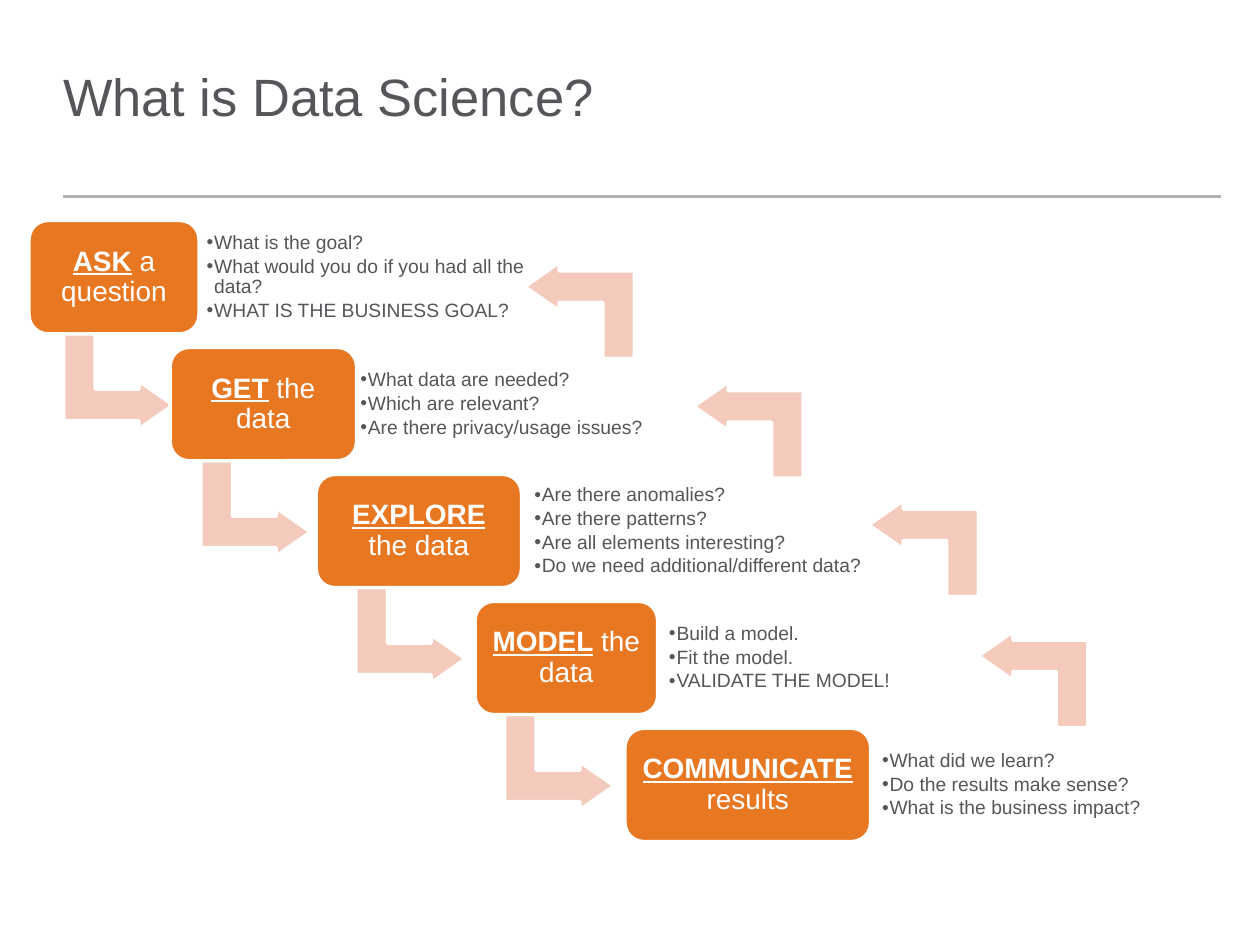
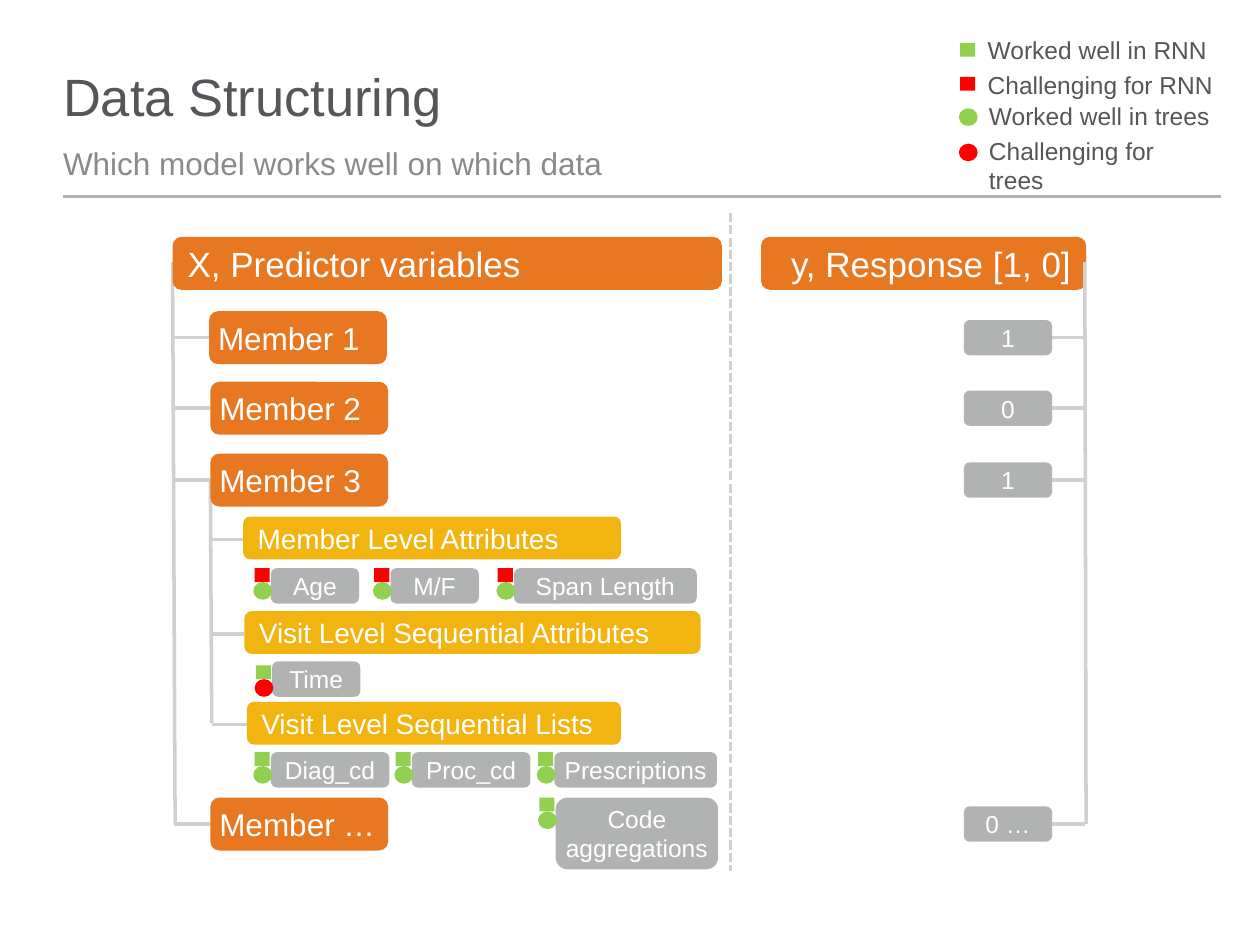
"""Build two slides: the data science process and the data structuring tree."""
from lxml import etree
from pptx import Presentation
from pptx import util as u
from pptx.dml import color as colors
from pptx.enum import dml, shapes, text
from pptx.oxml import ns

FONT = "Arial"
WHITE, DARK, MUTED = "FFFFFF", "55565A", "888B8D"
ORANGE, YELLOW, GRAY, PEACH = "E87722", "F2B411", "B1B3B3", "F4CABD"
BRANCH, GOOD, BAD = "D0D0CE", "92D050", "FF0000"
LEFT, CENTER, RIGHT = text.PP_ALIGN.LEFT, text.PP_ALIGN.CENTER, text.PP_ALIGN.RIGHT
KINDS = shapes.MSO_SHAPE

STEP_TOP, STEP_HEIGHT = 1.75, 0.9
STEP_PITCH = (5.78 - STEP_TOP) / 4
STEPS = [
    ("ASK", " a question", 0.23, 1.35, 1.59, 2.81,
     ["What is the goal?", "What would you do if you had all the data?",
      "WHAT IS THE BUSINESS GOAL?"]),
    ("GET", " the data", 1.35, 1.48, 2.81, 2.41,
     ["What data are needed?", "Which are relevant?",
      "Are there privacy/usage issues?"]),
    ("EXPLORE", " the data", 2.51, 1.63, 4.19, 2.72,
     ["Are there anomalies?", "Are there patterns?",
      "Are all elements interesting?", "Do we need additional/different data?"]),
    ("MODEL", " the data", 3.77, 1.45, 5.26, 2.63,
     ["Build a model.", "Fit the model.", "VALIDATE THE MODEL!"]),
    ("COMMUNICATE", " results", 4.96, 1.95, 6.95, 2.55,
     ["What did we learn?", "Do the results make sense?",
      "What is the business impact?"]),
]
FORWARD_ARROW_LEFTS = [0.56, 1.65, 2.88, 4.06]
BACK_ARROWS = [(4.22, 2.03), (5.56, 2.98), (6.95, 3.92), (7.82, 4.96)]

MEMBERS = [("Member 1", "1", 1.66, 2.68), ("Member 2", "0", 1.67, 3.24),
           ("Member 3", "1", 1.67, 3.81), ("Member …", "0 …", 1.67, 6.54)]
GROUPS = [("Member Level Attributes", 1.93, 4.1, 3),
          ("Visit Level Sequential Attributes", 1.94, 4.85, 3.62),
          ("Visit Level Sequential Lists", 1.96, 5.57, 2.97)]
ATTRIBUTES = [
    ("Age", 2.15, 4.51, 0.7, 0.28, BAD, GOOD, 0),
    ("M/F", 3.1, 4.51, 0.7, 0.28, BAD, GOOD, 0),
    ("Span Length", 4.08, 4.51, 1.45, 0.28, BAD, GOOD, 0),
    ("Time", 2.16, 5.25, 0.7, 0.28, GOOD, BAD, 0.03),
    ("Diag_cd", 2.15, 5.97, 0.94, 0.28, GOOD, GOOD, 0),
    ("Proc_cd", 3.27, 5.97, 0.94, 0.28, GOOD, GOOD, 0),
    ("Prescriptions", 4.4, 5.97, 1.29, 0.28, GOOD, GOOD, 0),
    ("Code aggregations", 4.41, 6.33, 1.29, 0.57, GOOD, GOOD, 0),
]


def rgb(value):
    """Turn a hex string into a colour."""
    return colors.RGBColor.from_string(value)


def inches(*lengths):
    """Convert several numbers to lengths."""
    return [u.Inches(length) for length in lengths]


def set_font(paragraph, size, color, align=LEFT):
    """Style a whole paragraph."""
    paragraph.alignment = align
    paragraph.font.name = FONT
    paragraph.font.size = u.Pt(size)
    paragraph.font.color.rgb = rgb(color)


def set_frame(frame, horizontal, vertical, anchor):
    """Set wrapping, insets and anchor of a text frame."""
    frame.word_wrap = True
    frame.margin_left = frame.margin_right = u.Inches(horizontal)
    frame.margin_top = frame.margin_bottom = u.Inches(vertical)
    frame.vertical_anchor = anchor


def add_text(slide, place, content, size, color=DARK, insets=(0, 0),
             anchor=text.MSO_ANCHOR.BOTTOM):
    """Add a one-paragraph text box."""
    frame = slide.shapes.add_textbox(*inches(*place)).text_frame
    set_frame(frame, *insets, anchor)
    frame.text = content
    set_font(frame.paragraphs[0], size, color)


def add_figure(slide, kind, place, fill, outline=None):
    """Add a flat preset shape with an optional outline."""
    shape = slide.shapes.add_shape(kind, *inches(*place))
    shape.shadow.inherit = False
    shape.fill.solid()
    shape.fill.fore_color.rgb = rgb(fill)
    if outline:
        shape.line.color.rgb = rgb(outline)
        shape.line.width = u.Pt(2)
    else:
        shape.line.fill.background()
    return shape


def add_box(slide, place, content, size, fill, align=LEFT, insets=(0.1, 0.05)):
    """Add a rounded box holding one white line of text."""
    frame = add_figure(slide, KINDS.ROUNDED_RECTANGLE, place, fill).text_frame
    set_frame(frame, *insets, text.MSO_ANCHOR.MIDDLE)
    frame.text = content
    set_font(frame.paragraphs[0], size, WHITE, align)


def add_chip(slide, place, content):
    """Add a gray value box."""
    add_box(slide, place, content, 14, GRAY, CENTER, (0.01, 0.05))


def add_line(slide, start, end, color=BRANCH, width=2, dash=None):
    """Add a straight line without a shadow."""
    line = slide.shapes.add_connector(
        shapes.MSO_CONNECTOR.STRAIGHT, *inches(*start, *end))
    line.line.color.rgb = rgb(color)
    line.line.width = u.Pt(width)
    if dash:
        line.line.dash_style = dash
    etree.SubElement(line._element.spPr, ns.qn("a:effectLst"))


def add_square(slide, left, top, color):
    """Add the square marker used for RNN."""
    add_figure(slide, KINDS.RECTANGLE, (left, top, 0.12, 0.11), color)


def add_circle(slide, left, top, color):
    """Add the round marker used for trees."""
    add_figure(slide, KINDS.FLOWCHART_CONNECTOR, (left, top, 0.15, 0.14), color)


def add_slide(presentation, title, subtitle=None):
    """Add a blank slide with title, optional subtitle and rule."""
    slide = presentation.slides.add_slide(presentation.slide_layouts[6])
    add_line(slide, (0.5, 1.56), (9.69, 1.56), GRAY, 1.25)
    add_text(slide, (0.5, 0.33, 9.18, 0.68), title, 30)
    if subtitle:
        add_text(slide, (0.5, 1, 9.19, 0.44), subtitle, 18, MUTED)
    return slide


def add_bent_arrow(slide, left, top, rotation):
    """Add a turned bent arrow between two steps."""
    arrow = add_figure(slide, KINDS.BENT_UP_ARROW, (left, top, 0.76, 0.87), PEACH, WHITE)
    arrow.rotation = rotation
    for index, value in enumerate((0.33, 0.25, 0.36)):
        arrow.adjustments[index] = value


def add_step(slide, place, verb, rest):
    """Add a step box with its verb emphasised."""
    frame = add_figure(slide, KINDS.ROUNDED_RECTANGLE, place, ORANGE, WHITE).text_frame
    set_frame(frame, 0.07, 0.07, text.MSO_ANCHOR.MIDDLE)
    paragraph = frame.paragraphs[0]
    set_font(paragraph, 16, WHITE, CENTER)
    paragraph.line_spacing = 0.9
    verb_run = paragraph.add_run()
    verb_run.text = verb
    verb_run.font.bold = verb_run.font.underline = True
    paragraph.add_run().text = rest


def add_bullets(slide, place, items):
    """Add a bulleted list whose bullets take the size of the text."""
    frame = slide.shapes.add_textbox(*inches(*place)).text_frame
    set_frame(frame, 0.05, 0.05, text.MSO_ANCHOR.MIDDLE)
    frame.text = "\n".join(items)
    for paragraph in frame.paragraphs:
        set_font(paragraph, 11, DARK)
        paragraph.runs[0].font.size = u.Pt(11)
        paragraph.runs[0].font.name = FONT
        paragraph.line_spacing = 0.9
        paragraph.space_after = u.Pt(1.65)
        properties = paragraph._p.get_or_add_pPr()
        properties.set("marL", str(u.Inches(0.06)))
        properties.set("indent", str(-u.Inches(0.06)))
        defaults = properties.find(ns.qn("a:defRPr"))
        defaults.addprevious(etree.Element(ns.qn("a:buFont"), typeface=FONT))
        defaults.addprevious(etree.Element(ns.qn("a:buChar"), char="•"))


def build_process(presentation):
    """Build the staircase of data science steps."""
    slide = add_slide(presentation, "What is Data Science?")
    for index, left in enumerate(FORWARD_ARROW_LEFTS):
        add_bent_arrow(slide, left, STEP_TOP + 0.84 + index * STEP_PITCH, 90)
    for index, (verb, rest, left, width, list_left, list_width, items) in enumerate(STEPS):
        top = STEP_TOP + index * STEP_PITCH
        add_step(slide, (left, top, width, STEP_HEIGHT), verb, rest)
        add_bullets(slide, (list_left, top + 0.09, list_width, 0.72), items)
    for left, top in BACK_ARROWS:
        add_bent_arrow(slide, left, top, 270)


def add_legend(slide):
    """Add the marker key at the top right."""
    entries = [("Worked well in RNN", 7.74, 0.23, add_square, 7.62, 0.34, GOOD),
               ("Challenging for RNN", 7.74, 0.51, add_square, 7.62, 0.61, BAD),
               ("Worked well in trees", 7.75, 0.75, add_circle, 7.61, 0.86, GOOD),
               ("Challenging for trees", 7.75, 1.03, add_circle, 7.61, 1.14, BAD)]
    for label, left, top, add_marker, marker_left, marker_top, color in entries:
        add_marker(slide, marker_left, marker_top, color)
        add_text(slide, (left, top, 1.99, 0.34), label, 14, insets=(0.1, 0.05),
                 anchor=text.MSO_ANCHOR.TOP)


def build_structure(presentation):
    """Build the tree of predictors and responses."""
    slide = add_slide(presentation, "Data Structuring", "Which model works well on which data")
    add_legend(slide)
    add_line(slide, (1.37, 2.08), (1.39, 6.54))
    add_line(slide, (1.67, 3.81), (1.68, 5.74))
    add_box(slide, (1.37, 1.88, 4.36, 0.42), "X, Predictor variables", 20, ORANGE)
    add_box(slide, (6.04, 1.88, 2.58, 0.42), "y, Response [1, 0]", 20, ORANGE, RIGHT)
    add_line(slide, (8.61, 2.08), (8.62, 6.54))
    for member, response, left, middle in MEMBERS:
        add_line(slide, (left, middle), (1.38, middle))
        add_line(slide, (8.61, middle), (8.33, middle))
        add_box(slide, (left, middle - 0.21, 1.41, 0.42), member, 18, ORANGE,
                insets=(0.05, 0.05))
        add_chip(slide, (7.65, middle - 0.14, 0.7, 0.28), response)
    for label, left, top, width in GROUPS:
        add_box(slide, (left, top, width, 0.34), label, 16, YELLOW)
        add_line(slide, (left, top + 0.18), (1.68, top + 0.18))
    for label, left, top, width, height, rnn, trees, drop in ATTRIBUTES:
        add_chip(slide, (left, top, width, height), label)
        add_circle(slide, left - 0.14, top + 0.11 + drop, trees)
        add_square(slide, left - 0.13, top + drop, rnn)
    add_line(slide, (5.8, 1.69), (5.8, 6.91), width=1.75, dash=dml.MSO_LINE.SQUARE_DOT)


def main():
    """Build and save the presentation."""
    presentation = Presentation()
    presentation.slide_width, presentation.slide_height = inches(10, 7.5)
    build_process(presentation)
    build_structure(presentation)
    presentation.save("out.pptx")


if __name__ == "__main__":
    main()
